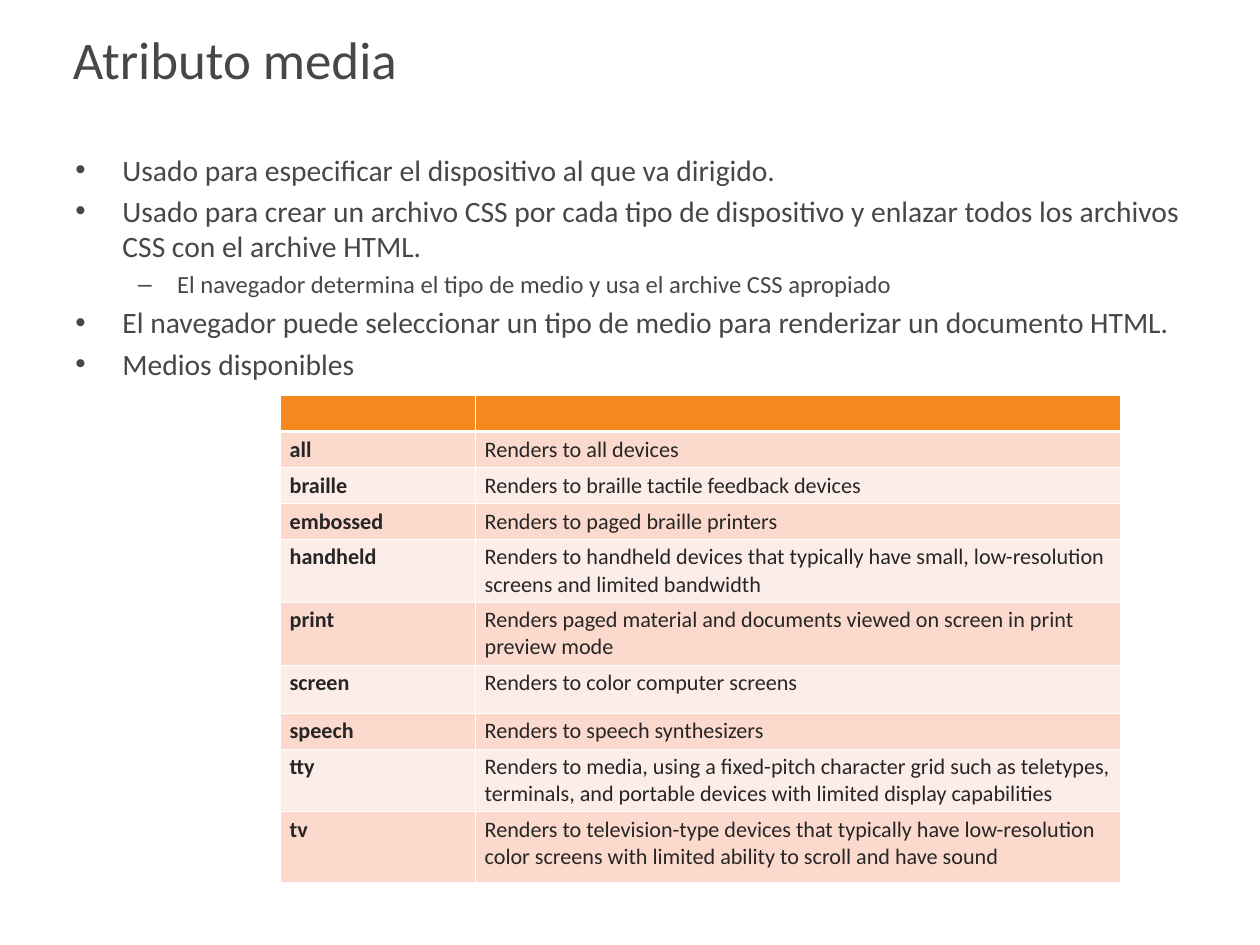
from dataclasses import dataclass

from lxml.etree import SubElement
from pptx import Presentation
from pptx.dml.color import RGBColor
from pptx.enum.text import MSO_ANCHOR, MSO_AUTO_SIZE, PP_ALIGN
from pptx.oxml.ns import qn
from pptx.util import Cm, Pt


@dataclass(frozen=True)
class Theme:
    font: str = "Calibri"
    text: str = "474747"
    cell_text: str = "262626"
    header: str = "F4891E"
    bands: tuple = ("FBDACD", "FDEDE8")
    border: str = "FFFFFF"
    title_size: int = 43
    list_sizes: tuple = (24, 20)
    table_size: int = 18


# Per list level: bullet, left margin and first-line indent in cm
BULLETS = (("•", 1.35, -1.35), ("–", 2.92, -1.12))

POINTS = [
    (0, "Usado para especificar el dispositivo al que va dirigido."),
    (0, "Usado para crear un archivo CSS por cada tipo de dispositivo y enlazar "
        "todos los archivos CSS con el archive HTML."),
    (1, "El navegador determina el tipo de medio y usa el archive CSS apropiado"),
    (0, "El navegador puede seleccionar un tipo de medio para renderizar un documento HTML."),
    (0, "Medios disponibles"),
]

ONE_LINE, TWO_LINES = 1.03, 1.8
MEDIA = [
    ("all", "Renders to all devices", ONE_LINE),
    ("braille", "Renders to braille tactile feedback devices", ONE_LINE),
    ("embossed", "Renders to paged braille printers", ONE_LINE),
    ("handheld", "Renders to handheld devices that typically have small, low-resolution "
                 "screens and limited bandwidth", TWO_LINES),
    ("print", "Renders paged material and documents viewed on screen in print preview mode",
     TWO_LINES),
    ("screen", "Renders to color computer screens", 1.37),
    ("speech", "Renders to speech synthesizers", ONE_LINE),
    ("tty", "Renders to media, using a fixed-pitch character grid such as teletypes, "
            "terminals, and portable devices with limited display capabilities", TWO_LINES),
    ("tv", "Renders to television-type devices that typically have low-resolution "
           "color screens with limited ability to scroll and have sound", 2.03),
]


class SlideBuilder:
    def __init__(self, page, theme):
        self.page = page
        self.theme = theme

    def add_span(self, para, text, size, color, bold=False):
        span = para.add_run()
        span.text = text
        span.font.name = self.theme.font
        span.font.size = Pt(size)
        span.font.bold = bold
        span.font.color.rgb = RGBColor.from_string(color)

    def place(self, box, left, top, width, height, anchor):
        """Move a placeholder and return its prepared text frame."""
        box.left, box.top, box.width, box.height = map(Cm, (left, top, width, height))
        frame = box.text_frame
        frame.word_wrap = True
        frame.auto_size = MSO_AUTO_SIZE.NONE
        frame.vertical_anchor = anchor
        frame.margin_left = frame.margin_right = Cm(0.36)
        frame.margin_top = frame.margin_bottom = Cm(0.18)
        return frame

    def title(self, text, *area):
        frame = self.place(self.page.shapes.title, *area, MSO_ANCHOR.MIDDLE)
        para = frame.paragraphs[0]
        para.alignment = PP_ALIGN.LEFT
        self.add_span(para, text, self.theme.title_size, self.theme.text)

    def bullet_list(self, points, *area):
        frame = self.place(self.page.placeholders[1], *area, MSO_ANCHOR.TOP)
        for index, (level, text) in enumerate(points):
            para = frame.add_paragraph() if index else frame.paragraphs[0]
            size = self.theme.list_sizes[level]
            bullet, margin, indent = BULLETS[level]
            para.level = level
            para.space_before = Pt(0.2 * size if index else 0)
            properties = para._p.get_or_add_pPr()
            properties.set("marL", str(Cm(margin)))
            properties.set("indent", str(Cm(indent)))
            SubElement(properties, qn("a:buChar"), char=bullet)
            self.add_span(para, text, size, self.theme.text)

    def style_cell(self, cell, fill, top=1, bottom=1):
        """Set the fill, and the borders with the top and bottom widths in points."""
        properties = cell._tc.get_or_add_tcPr()
        for side, width in zip("LRTB", (1, 1, top, bottom)):
            line = SubElement(properties, qn(f"a:ln{side}"), w=str(Pt(width)))
            SubElement(SubElement(line, qn("a:solidFill")), qn("a:srgbClr"),
                       val=self.theme.border)
        cell.fill.solid()
        cell.fill.fore_color.rgb = RGBColor.from_string(fill)

    def media_table(self, media, left, top, widths):
        heights = [ONE_LINE] + [height for _, _, height in media]
        table = self.page.shapes.add_table(
            len(heights), len(widths), Cm(left), Cm(top),
            Cm(sum(widths)), Cm(sum(heights))).table
        table.horz_banding = False
        for column, width in zip(table.columns, widths):
            column.width = Cm(width)
        for row, height in zip(table.rows, heights):
            row.height = Cm(height)
        for cell in table.rows[0].cells:
            self.style_cell(cell, self.theme.header, bottom=3)
        for index, (name, meaning, _) in enumerate(media):
            for column, text in enumerate((name, meaning)):
                cell = table.cell(index + 1, column)
                self.style_cell(cell, self.theme.bands[index % 2], top=1 if index else 3)
                para = cell.text_frame.paragraphs[0]
                para.alignment = PP_ALIGN.LEFT
                self.add_span(para, text, self.theme.table_size,
                              self.theme.cell_text, bold=column == 0)


def main():
    deck = Presentation()
    deck.slide_width, deck.slide_height = Cm(36.12), Cm(27.1)
    page = deck.slides.add_slide(deck.slide_layouts[1])
    builder = SlideBuilder(page, Theme())
    builder.title("Atributo media", 1.73, 0.3, 33.2, 2.72)
    builder.bullet_list(POINTS, 1.8, 4.17, 32.51, 20.04)
    builder.media_table(MEDIA, 8.05, 11.35, (5.59, 18.49))
    deck.save("out.pptx")


if __name__ == "__main__":
    main()
